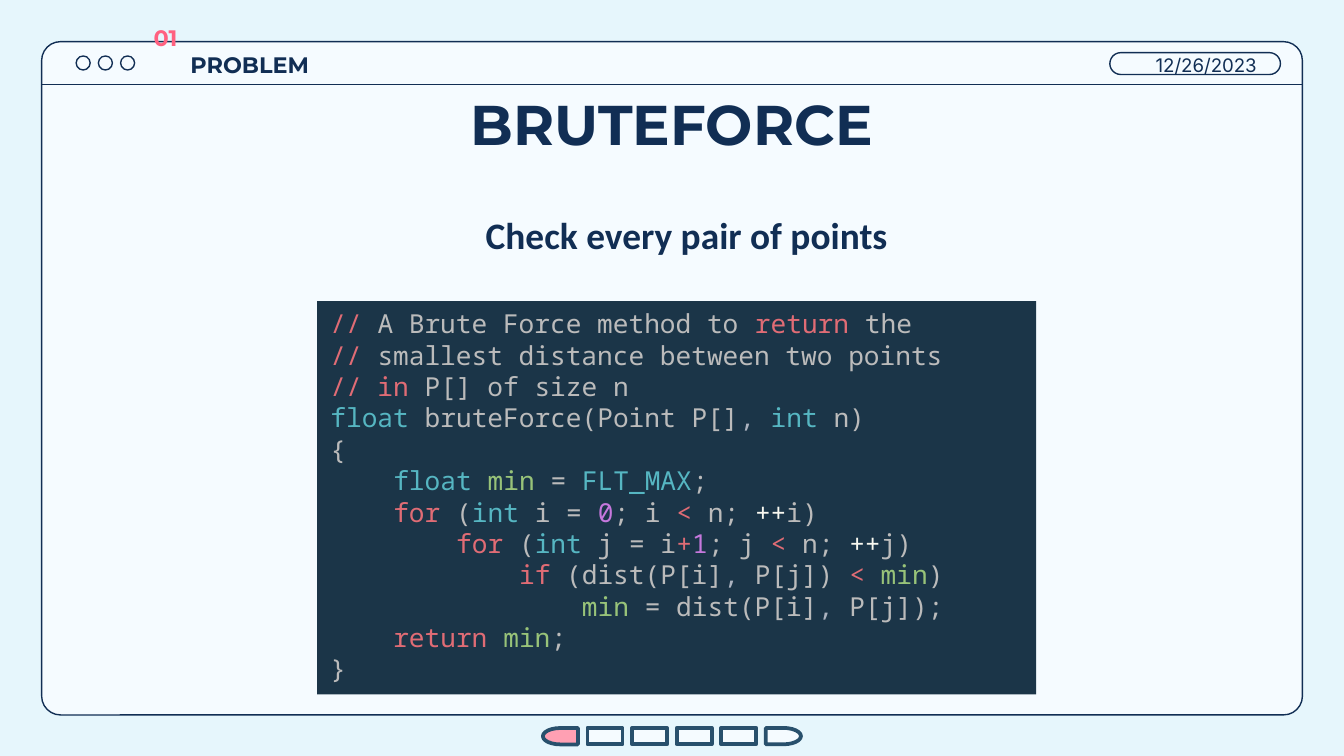
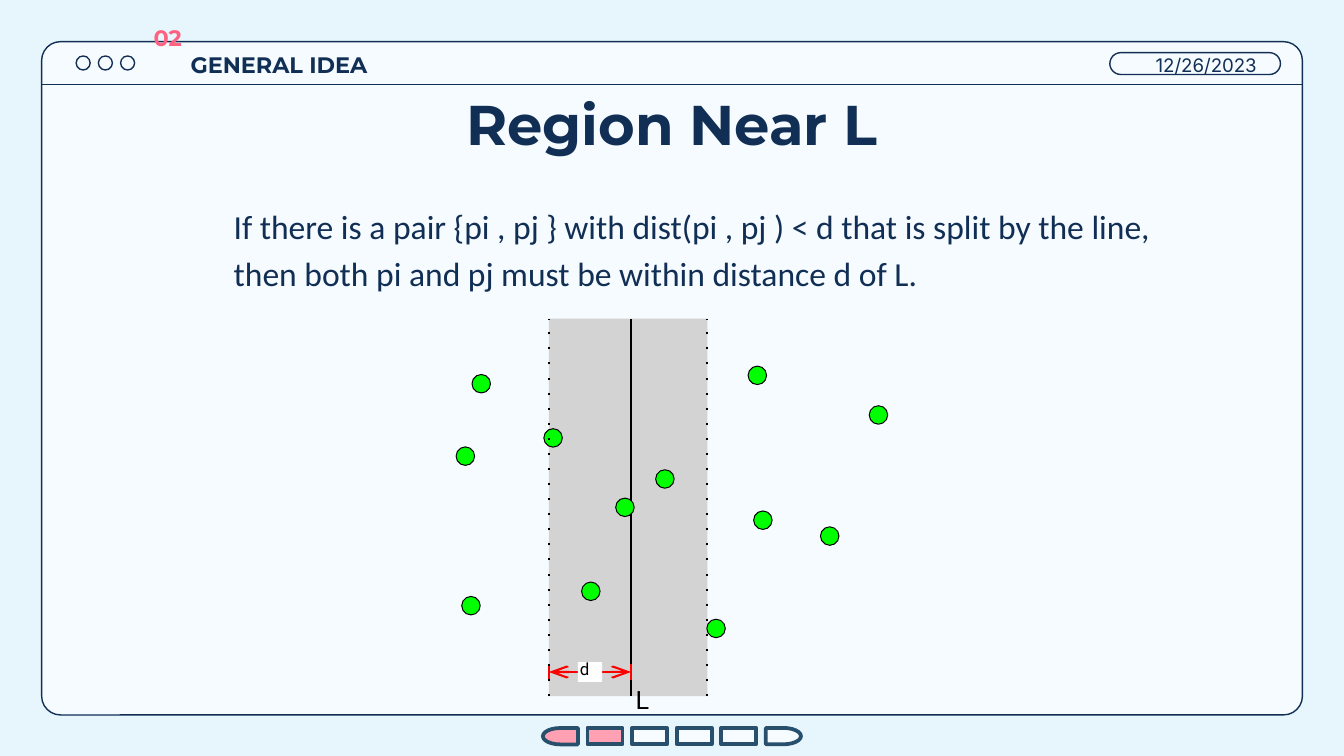
from typing import NamedTuple, Optional

from lxml import etree
from pptx import Presentation
from pptx.dml.color import RGBColor
from pptx.enum.shapes import MSO_CONNECTOR, MSO_SHAPE
from pptx.enum.text import MSO_ANCHOR, PP_ALIGN
from pptx.oxml.ns import qn
from pptx.util import Pt

SKY, PAPER, NAVY, STEEL = "E6F6FC", "F5FBFF", "112E54", "28506C"
PINK, ROSE, BLACK, WHITE = "FFA0B3", "FF6180", "000000", "FFFFFF"
CODE_BACK, REGION_GREY, POINT_GREEN, ARROW_RED = "1B3548", "D3D3D3", "00FF00", "FF0000"
DATE = "12/26/2023"
STEPS = 6

# Each code span starts with the key of its colour; spans are split at "|".
CODE_COLOURS = {
    "n": "BBBBBB", "k": "E06C75", "t": "56B6C2", "m": "98C379",
    "d": "C678DD", "p": "ABB2BF", "w": "F8F8F0",
}
CODE = [
    "k//|n A Brute Force method to |kreturn|n the",
    "k//|n smallest distance between two points",
    "k// in|n P[] of size n",
    "tfloat |nbruteForce(Point P[]|p, |tint|n n)",
    "n{",
    "n    |tfloat |mmin|n = |tFLT_MAX|n;",
    "n    |kfor|n (|tint |ni = |d0|n; i |k<|n n; |w++|ni)",
    "n        |kfor|n (|tint|n j = i|k+|d1|n; j |k<|n n; |w++|nj)",
    "n            |kif|n (dist(P[i]|p,|n P[j]) |k< |mmin|n)",
    "n                |mmin|n = dist(P[i]|p,|n P[j]);",
    "n    |kreturn |mmin|n;",
    "n}",
]


class Area(NamedTuple):
    left: float
    top: float
    width: float
    height: float


class Style(NamedTuple):
    font: str
    size: float
    colour: str = NAVY
    bold: bool = False
    align: PP_ALIGN = PP_ALIGN.LEFT
    anchor: MSO_ANCHOR = MSO_ANCHOR.TOP
    spacing: Optional[float] = None
    margin: float = 0
    indent: float = 0
    insets: tuple = (7.2, 7.2, 7.2, 7.2)
    wrap: bool = True


class Point(NamedTuple):
    x: float
    y: float


class Header(NamedTuple):
    number: str
    section: str
    section_width: float
    title: str
    steps_done: int


TITLE = Style("Montserrat", 30, bold=True, align=PP_ALIGN.CENTER)
SECTION = Style("Montserrat", 12, bold=True, anchor=MSO_ANCHOR.BOTTOM)
NUMBER = SECTION._replace(colour=ROSE, insets=(7.2, 0, 0, 7.2))
DATE_STYLE = Style("Inter", 10, spacing=1.15, margin=10.8)
LEAD = Style("Calibri", 20, bold=True, align=PP_ALIGN.CENTER, spacing=1.15,
             margin=36, indent=-25.2)
STATEMENT = Style("Calibri", 18, spacing=1.15, margin=36)
CODE_STYLE = Style("Noto Sans Mono", 14, insets=(7.2, 3.6, 7.2, 3.6))
LABEL = Style("Roboto", 13.5, BLACK, insets=(7.2, 3.6, 7.2, 3.6), wrap=False)

# Centres of the scattered points
POINTS = [
    Point(296.3, 234.6), Point(249.3, 244.4), Point(316.5, 316.8),
    Point(252.3, 324.5), Point(334.8, 271.8), Point(356.2, 256.6),
    Point(383.6, 336.7), Point(408.7, 278.7), Point(470.6, 222.3),
    Point(405.7, 201.1), Point(444.5, 287.2), Point(257.8, 205.6),
]
POINT_SIZE = 9.9


def colour(value: str) -> RGBColor:
    return RGBColor.from_string(value)


def points(area: Area) -> list:
    return [Pt(value) for value in area]


def draw_shape(page, kind, area: Area, fill: Optional[str] = None,
               line: Optional[str] = None, weight: float = 0.75):
    shape = page.shapes.add_shape(kind, *points(area))
    shape.shadow.inherit = False
    if fill:
        shape.fill.solid()
        shape.fill.fore_color.rgb = colour(fill)
    else:
        shape.fill.background()
    if line:
        shape.line.color.rgb = colour(line)
        shape.line.width = Pt(weight)
    else:
        shape.line.fill.background()
    return shape


def draw_line(page, start: Point, end: Point, line: str, weight: float,
              dotted: bool = False, arrows: bool = False) -> None:
    connector = page.shapes.add_connector(
        MSO_CONNECTOR.STRAIGHT, Pt(start.x), Pt(start.y), Pt(end.x), Pt(end.y))
    connector.line.color.rgb = colour(line)
    connector.line.width = Pt(weight)
    stroke = connector.line._get_or_add_ln()
    if dotted:
        dashes = etree.SubElement(stroke, qn("a:custDash"))
        etree.SubElement(dashes, qn("a:ds"), d="100000", sp="650000")
    if arrows:
        for end_name in ("a:headEnd", "a:tailEnd"):
            etree.SubElement(stroke, qn(end_name), type="arrow", w="med", len="lg")
    etree.SubElement(connector._element.spPr, qn("a:effectLst"))


def write(shape, rows: list, style: Style) -> None:
    """Fill a shape with rows, each a list of (text, colour) spans."""
    frame = shape.text_frame
    frame.word_wrap = style.wrap
    frame.vertical_anchor = style.anchor
    (frame.margin_left, frame.margin_top,
     frame.margin_right, frame.margin_bottom) = [Pt(inset) for inset in style.insets]
    for index, row in enumerate(rows):
        para = frame.add_paragraph() if index else frame.paragraphs[0]
        para.alignment = style.align
        if style.spacing:
            para.line_spacing = style.spacing
        properties = para._p.get_or_add_pPr()
        properties.set("marL", str(Pt(style.margin)))
        properties.set("indent", str(Pt(style.indent)))
        for text, text_colour in row:
            span = para.add_run()
            span.text = text
            span.font.name = style.font
            span.font.size = Pt(style.size)
            span.font.bold = style.bold
            span.font.color.rgb = colour(text_colour)


def draw_text(page, area: Area, text: str, style: Style) -> None:
    box = page.shapes.add_textbox(*points(area))
    write(box, [[(text, style.colour)]], style)


def draw_window(page) -> None:
    """Browser-like frame with three buttons and an address field."""
    frame = draw_shape(page, MSO_SHAPE.ROUNDED_RECTANGLE,
                       Area(22.3, 22.3, 675.4, 360.7), PAPER, NAVY)
    frame.adjustments[0] = 0.028
    for index in range(3):
        draw_shape(page, MSO_SHAPE.OVAL, Area(40.8 + 11.9 * index, 30, 7.5, 7.5),
                   line=NAVY)
    field = draw_shape(page, MSO_SHAPE.ROUNDED_RECTANGLE,
                       Area(594.6, 28.2, 91.4, 11.7), line=NAVY)
    field.adjustments[0] = 0.5
    draw_line(page, Point(22.3, 45.3), Point(697.7, 45.3), NAVY, 0.75)


def draw_progress(page, done: int) -> None:
    """Row of steps with rounded ends, the finished ones in pink."""
    for index in range(STEPS):
        at_end = index in (0, STEPS - 1)
        kind = MSO_SHAPE.FLOWCHART_DELAY if at_end else MSO_SHAPE.RECTANGLE
        step = draw_shape(page, kind, Area(290.8 + 23.9 * index, 390, 18.8, 8.8),
                          PINK if index < done else PAPER, STEEL, 2)
        if index == 0:
            step.rotation = 180


def add_page(deck, header: Header):
    page = deck.slides.add_slide(deck.slide_layouts[6])
    page.background.fill.solid()
    page.background.fill.fore_color.rgb = colour(SKY)
    draw_window(page)
    draw_text(page, Area(56.7, 41, 606.6, 45.4), header.title, TITLE)
    draw_text(page, Area(95, 19.4, header.section_width, 29.5), header.section, SECTION)
    draw_text(page, Area(75.2, 10, 30, 24.5), header.number, NUMBER)
    draw_text(page, Area(601.2, 20.2, 99.4, 28), DATE, DATE_STYLE)
    draw_progress(page, header.steps_done)
    return page


def build_bruteforce(deck) -> None:
    page = add_page(deck, Header("01", "PROBLEM", 103, "BRUTEFORCE", 1))
    draw_text(page, Area(40.3, 103, 644.4, 98.6), "Check every pair of points", LEAD)
    code_box = draw_shape(page, MSO_SHAPE.RECTANGLE, Area(169.9, 161.3, 385.2, 210.7),
                          CODE_BACK)
    rows = [[(part[1:], CODE_COLOURS[part[0]]) for part in row.split("|")]
            for row in CODE]
    write(code_box, rows, CODE_STYLE)


def build_region(deck) -> None:
    page = add_page(deck, Header("02", "GENERAL IDEA", 135.4, "Region Near L", 2))
    draw_text(page, Area(82.1, 100, 550.8, 50.4),
              "If there is a pair {pi , pj } with dist(pi , pj ) < d that is split "
              "by the line, then both pi and pj must be within distance d of L.",
              STATEMENT)

    # Strip around the dividing line L
    left, middle, right = 294, 338.1, 379
    top, bottom = 170.7, 373
    draw_shape(page, MSO_SHAPE.RECTANGLE, Area(left, top, right - left, bottom - top),
               REGION_GREY)
    draw_line(page, Point(middle, bottom), Point(middle, top), BLACK, 1.08)

    for center in POINTS:
        draw_shape(page, MSO_SHAPE.OVAL,
                   Area(center.x - POINT_SIZE / 2, center.y - POINT_SIZE / 2,
                        POINT_SIZE, POINT_SIZE), POINT_GREEN, BLACK, 0.54)
    draw_text(page, Area(333.4, 362.9, 28, 26), "L", LABEL)

    # Distance d, from the strip's edge to L
    level = 360
    draw_line(page, Point(left, level), Point(middle, level), ARROW_RED, 1.08, arrows=True)
    for x in (left, middle):
        draw_line(page, Point(x, level - 4.4), Point(x, level + 4.4), ARROW_RED, 1.08)
    for x in (left, right):
        draw_line(page, Point(x, bottom), Point(x, top), BLACK, 1.08, dotted=True)
    draw_shape(page, MSO_SHAPE.RECTANGLE, Area(309.6, 354.8, 13, 10.6), WHITE)
    draw_text(page, Area(303.6, 349.2, 26, 21.6), "d", LABEL._replace(size=9))


def main() -> None:
    deck = Presentation()
    deck.slide_width, deck.slide_height = Pt(720), Pt(405)
    build_bruteforce(deck)
    build_region(deck)
    deck.save("out.pptx")


if __name__ == "__main__":
    main()
